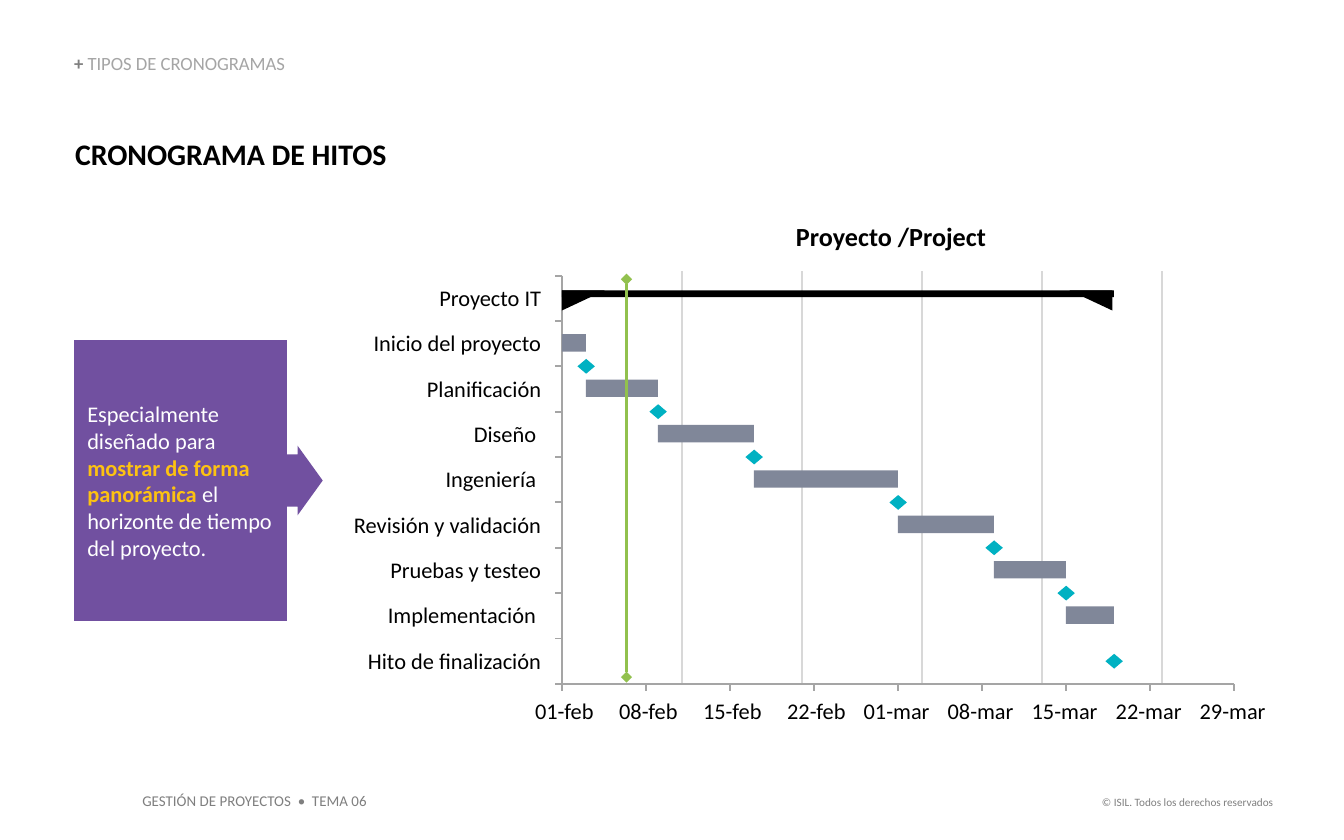
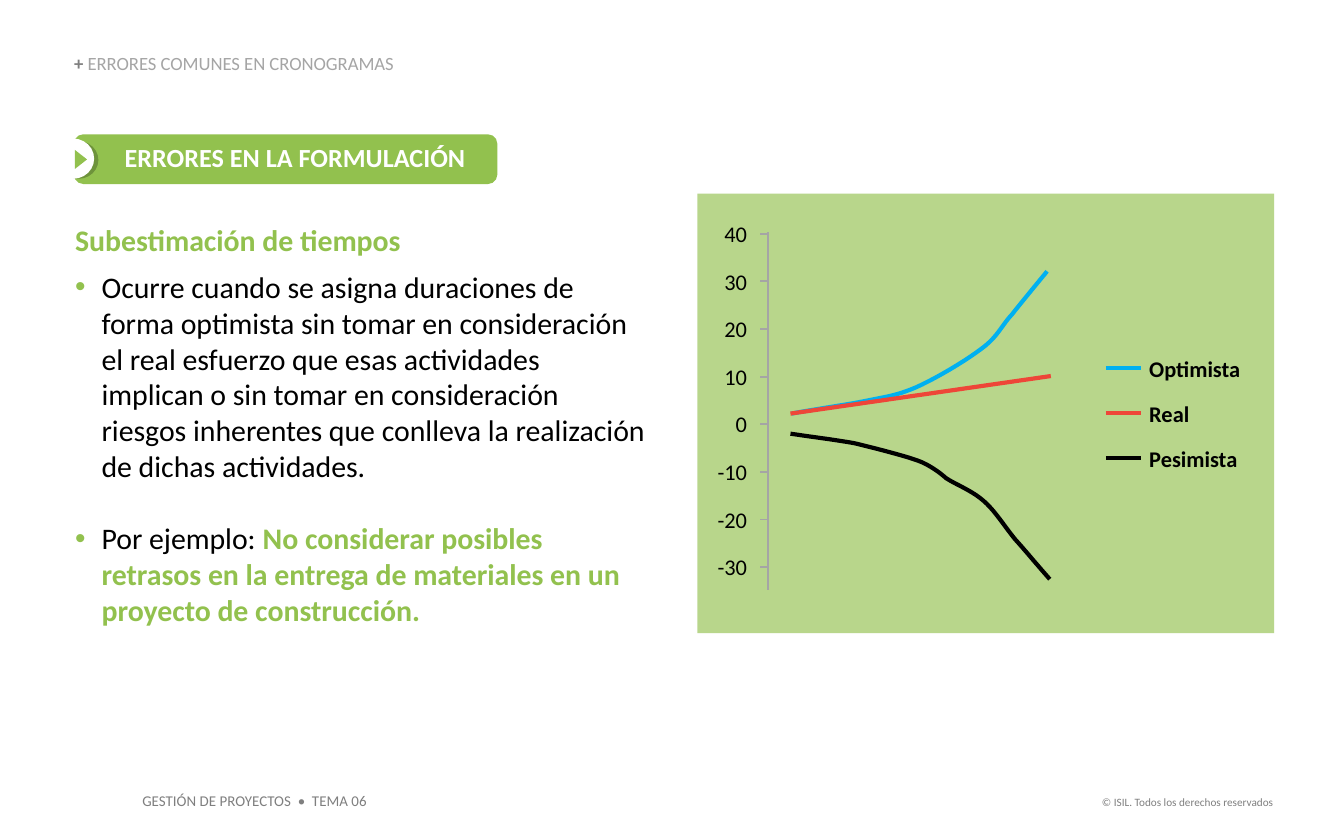
from lxml.etree import SubElement
from pptx import Presentation
from pptx.dml.color import RGBColor
from pptx.enum.shapes import MSO_CONNECTOR, MSO_SHAPE
from pptx.enum.text import MSO_ANCHOR, MSO_AUTO_SIZE, PP_ALIGN
from pptx.oxml.ns import qn
from pptx.util import Cm, Pt

FONT = "Calibri"
BLACK = "000000"
WHITE = "FFFFFF"
GREEN = "92C14E"
DARK_GREEN = "6E933B"
GREY = "7F7F7F"
AXIS_GREY = "A5A5A5"
GRID_GREY = "D8D8D8"
BAR_GREY = "808799"
TEAL = "00B1C2"
PURPLE = "7150A0"
YELLOW = "FDC212"
BLUE = "00B0F0"
RED = "EE4638"

TITLE_ONLY = 5
TITLE_AND_CONTENT = 1


def colour(value):
    return RGBColor.from_string(value)


def bezier_points(start, segments, steps=10):
    points = [start]
    for first, second, end in segments:
        begin = points[-1]
        for step in range(1, steps + 1):
            t = step / steps
            u = 1 - t
            points.append(tuple(
                u**3 * a + 3 * u * u * t * b + 3 * u * t * t * c + t**3 * d
                for a, b, c, d in zip(begin, first, second, end)))
    return points


class SlideBuilder:
    def __init__(self):
        self.presentation = Presentation()
        self.presentation.slide_width = Cm(25.4)
        self.presentation.slide_height = Cm(15.88)
        self.slide = None

    def start_slide(self, layout, heading, heading_width):
        layouts = self.presentation.slide_layouts
        self.slide = self.presentation.slides.add_slide(layouts[layout])
        self.text(20.09, 14.91, 4.22, 0.51, "© ISIL. Todos los derechos reservados", 6, GREY,
                  align=PP_ALIGN.RIGHT, margins=(0.25, 0.13, 0.25, 0.13))
        self.text(2.44, 14.83, 4.75, 0.61, "GESTIÓN DE PROYECTOS  •  TEMA 06", 8, GREY,
                  margins=(0.25, 0.13, 0.25, 0.13))
        title = self.slide.shapes.title
        self.place(title, 1.4, 1.04, heading_width, 0.38)
        self.frame(title, MSO_ANCHOR.BOTTOM)
        paragraph = title.text_frame.paragraphs[0]
        self.add_pieces(paragraph, [("+ ", GREY, True), (heading, AXIS_GREY, False)], 10)
        paragraph.line_spacing = 0.9

    def place(self, shape, left, top, width, height):
        shape.left, shape.top = Cm(left), Cm(top)
        shape.width, shape.height = Cm(width), Cm(height)

    def frame(self, shape, anchor, margins=(0, 0, 0, 0)):
        frame = shape.text_frame
        frame.word_wrap = True
        frame.auto_size = MSO_AUTO_SIZE.NONE
        frame.vertical_anchor = anchor
        (frame.margin_left, frame.margin_top,
         frame.margin_right, frame.margin_bottom) = map(Cm, margins)

    def add_pieces(self, paragraph, pieces, size, align=PP_ALIGN.LEFT):
        paragraph.alignment = align
        for text, tone, bold in pieces:
            run = paragraph.add_run()
            run.text = text
            run.font.name = FONT
            run.font.size = Pt(size)
            run.font.bold = bold
            run.font.color.rgb = colour(tone)

    def text(self, left, top, width, height, text, size, tone=BLACK, bold=False,
             align=PP_ALIGN.LEFT, anchor=MSO_ANCHOR.TOP, margins=(0, 0, 0, 0)):
        shape = self.slide.shapes.add_textbox(Cm(left), Cm(top), Cm(width), Cm(height))
        self.frame(shape, anchor, margins)
        self.add_pieces(shape.text_frame.paragraphs[0], [(text, tone, bold)], size, align)

    def shape(self, kind, left, top, width, height, fill, adjustments=(),
              rotation=0, flip=False, alpha=None):
        shape = self.slide.shapes.add_shape(kind, Cm(left), Cm(top), Cm(width), Cm(height))
        shape.shadow.inherit = False
        shape.fill.solid()
        shape.fill.fore_color.rgb = colour(fill)
        shape.line.fill.background()
        shape.rotation = rotation
        for index, value in enumerate(adjustments):
            shape.adjustments[index] = value
        properties = shape._element.spPr
        if flip:
            properties.find(qn("a:xfrm")).set("flipH", "1")
        if alpha:
            tone = properties.find(qn("a:solidFill")).find(qn("a:srgbClr"))
            SubElement(tone, qn("a:alpha")).set("val", str(alpha * 1000))
        return shape

    def line(self, x1, y1, x2, y2, tone, width=1, ends=None):
        connector = self.slide.shapes.add_connector(
            MSO_CONNECTOR.STRAIGHT, Cm(x1), Cm(y1), Cm(x2), Cm(y2))
        connector.line.color.rgb = colour(tone)
        connector.line.width = Pt(width)
        properties = connector._element.spPr
        if ends:
            for end in ("a:headEnd", "a:tailEnd"):
                SubElement(properties.find(qn("a:ln")), qn(end)).set("type", ends)
        SubElement(properties, qn("a:effectLst"))

    def curve(self, points, tone):
        start, *rest = [(Cm(x), Cm(y)) for x, y in points]
        builder = self.slide.shapes.build_freeform(*start)
        builder.add_line_segments(rest, close=False)
        shape = builder.convert_to_shape()
        shape.shadow.inherit = False
        shape.fill.background()
        shape.line.color.rgb = colour(tone)
        shape.line.width = Pt(2.25)

    def bullet(self, paragraph, tone):
        properties = paragraph._p.get_or_add_pPr()
        properties.set("marL", str(Cm(0.5)))
        properties.set("indent", str(Cm(-0.5)))
        bullet_colour = SubElement(properties, qn("a:buClr"))
        SubElement(bullet_colour, qn("a:srgbClr")).set("val", tone)
        SubElement(properties, qn("a:buFont")).set("typeface", "Arial")
        SubElement(properties, qn("a:buChar")).set("char", "•")

    def no_bullet(self, paragraph):
        properties = paragraph._p.get_or_add_pPr()
        properties.set("marL", "0")
        properties.set("indent", "0")
        SubElement(properties, qn("a:buNone"))


def draw_gantt(builder):
    axis_x, top, bottom = 10.62, 5.21, 12.93
    row = (bottom - top) / 9
    day = 12.7 / 56
    tasks = [("Inicio del proyecto", 2), ("Planificación", 6), ("Diseño ", 8),
             ("Ingeniería ", 12), ("Revisión y validación", 8),
             ("Pruebas y testeo", 6), ("Implementación ", 4)]
    labels = ["Proyecto IT", *(name for name, _ in tasks), "Hito de finalización"]
    dates = ["01-feb", "08-feb", "15-feb", "22-feb", "01-mar",
             "08-mar", "15-mar", "22-mar", "29-mar"]

    for step in range(1, 6):
        x = axis_x + step * 10 * day
        builder.line(x, 5.13, x, bottom, GRID_GREY)
    builder.text(13.46, 4.17, 6.76, 0.61, "Proyecto /Project", 14, bold=True,
                 align=PP_ALIGN.CENTER)
    for index, label in enumerate(labels):
        builder.text(6.5, top + index * row + 0.16, 3.73, 0.51, label, 12,
                     align=PP_ALIGN.RIGHT)

    builder.line(axis_x, bottom, axis_x + 56 * day, bottom, AXIS_GREY)
    builder.line(axis_x, top, axis_x, bottom + 0.13, AXIS_GREY)
    for index, date in enumerate(dates):
        x = axis_x + index * 7 * day
        builder.line(x, bottom, x, bottom + 0.13, AXIS_GREY)
        builder.text(x - 0.75, 13.18, 1.35, 0.51, date, 12, align=PP_ALIGN.RIGHT)
    for index in range(10):
        y = top + index * row
        builder.line(axis_x, y, axis_x - 0.13, y, AXIS_GREY)

    total = sum(days for _, days in tasks) * day
    builder.shape(MSO_SHAPE.RECTANGLE, axis_x, 5.49, total, 0.13, BLACK)
    for x, flip in ((axis_x, True), (axis_x + total - 0.84, False)):
        builder.shape(MSO_SHAPE.RIGHT_TRIANGLE, x, 5.49, 0.81, 0.38, BLACK,
                      rotation=180, flip=flip)

    x = axis_x
    for index, (_, days) in enumerate(tasks, start=1):
        y = top + index * row
        builder.shape(MSO_SHAPE.RECTANGLE, x, y + 0.25, days * day, 0.33, BAR_GREY)
        x += days * day
        milestone_y = y + row if index < len(tasks) else y + 1.5 * row
        builder.shape(MSO_SHAPE.FLOWCHART_SORT, x - 0.16, milestone_y - 0.14,
                      0.33, 0.28, TEAL)
    builder.line(11.84, 5.28, 11.84, 12.8, GREEN, 1.5, "diamond")


def draw_estimates(builder):
    axis_x, top, step = 14.51, 4.42, 0.9
    builder.shape(MSO_SHAPE.RECTANGLE, 13.18, 3.66, 10.9, 8.31, GREEN, alpha=65)
    builder.line(axis_x, 4.39, axis_x, 11.15, AXIS_GREY)
    for index, value in enumerate(range(40, -31, -10)):
        y = top + index * step
        builder.text(13.08, y - 0.27, 1.04, 0.53, str(value), 12,
                     align=PP_ALIGN.RIGHT, anchor=MSO_ANCHOR.MIDDLE)
        builder.line(axis_x, y, axis_x - 0.14, y, AXIS_GREY)

    optimistic = bezier_points((14.96, 7.82), [
        ((15.49, 7.72), (16.03, 7.65), (16.41, 7.57)),
        ((16.81, 7.49), (16.97, 7.47), (17.32, 7.32)),
        ((17.68, 7.16), (18.24, 6.83), (18.54, 6.6)),
        ((18.85, 6.38), (18.92, 6.17), (19.13, 5.94)),
        ((19.33, 5.69), (19.56, 5.41), (19.79, 5.13))])
    pessimistic = bezier_points((14.94, 8.2), [
        ((15.34, 8.26), (15.75, 8.31), (16.15, 8.38)),
        ((16.56, 8.48), (17.07, 8.61), (17.35, 8.71)),
        ((17.63, 8.81), (17.88, 9.04), (17.88, 9.04)),
        ((18.08, 9.17), (18.36, 9.27), (18.59, 9.47)),
        ((18.8, 9.65), (18.97, 9.93), (19.18, 10.19)),
        ((19.38, 10.41), (19.61, 10.69), (19.84, 10.95))])
    real = [(14.94, 7.82), (19.86, 7.11)]
    series = [("Optimista", BLUE, optimistic), ("Real", RED, real),
              ("Pesimista", BLACK, pessimistic)]
    for index, (name, tone, points) in enumerate(series):
        y = 6.96 + index * 0.85
        builder.curve(points, tone)
        builder.line(20.9, y, 21.56, y, tone, 2.25)
        builder.text(21.72, y - 0.25, 2.24, 0.51, name, 12, bold=True,
                     anchor=MSO_ANCHOR.MIDDLE)


def build_milestones(builder):
    builder.start_slide(TITLE_ONLY, "TIPOS DE CRONOGRAMAS", 6.76)
    builder.text(1.42, 2.57, 13.08, 0.69, "CRONOGRAMA DE HITOS", 16, bold=True)
    callout = builder.shape(MSO_SHAPE.RIGHT_ARROW_CALLOUT, 1.4, 6.43, 4.7, 5.31, PURPLE,
                            (0.211, 0.14, 0.101, 0.856))
    builder.frame(callout, MSO_ANCHOR.MIDDLE, (0.25, 0.13, 0.1, 0.13))
    builder.add_pieces(callout.text_frame.paragraphs[0], [
        ("Especialmente diseñado para ", WHITE, False),
        ("mostrar de forma panorámica ", YELLOW, True),
        ("el horizonte de tiempo del proyecto.", WHITE, False)], 12)
    draw_gantt(builder)


def build_errors(builder):
    builder.start_slide(TITLE_AND_CONTENT, "ERRORES COMUNES EN CRONOGRAMAS", 11.53)
    body = builder.slide.placeholders[1]
    builder.place(body, 1.42, 4.19, 10.8, 8.43)
    builder.frame(body, MSO_ANCHOR.TOP)
    items = [
        (0, [("Subestimación de tiempos", GREEN, True)]),
        (6, [("Ocurre cuando se asigna duraciones de forma optimista sin tomar en "
              "consideración el real esfuerzo que esas actividades implican o sin tomar "
              "en consideración riesgos inherentes que conlleva la realización de dichas "
              "actividades.", BLACK, False)]),
        (19.5, [("Por ejemplo: ", BLACK, False),
                ("No considerar posibles retrasos en la entrega de materiales en un "
                 "proyecto de construcción.", GREEN, True)])]
    for index, (space, pieces) in enumerate(items):
        if index:
            paragraph = body.text_frame.add_paragraph()
            builder.bullet(paragraph, GREEN)
        else:
            paragraph = body.text_frame.paragraphs[0]
            builder.no_bullet(paragraph)
        paragraph.space_before = Pt(space)
        builder.add_pieces(paragraph, pieces, 16)

    band = builder.shape(MSO_SHAPE.ROUNDED_RECTANGLE, 1.4, 2.54, 8, 0.94, GREEN, (0.188,))
    builder.frame(band, MSO_ANCHOR.MIDDLE, (0.61, 0.13, 0.25, 0.13))
    paragraph = band.text_frame.paragraphs[0]
    builder.add_pieces(paragraph, [("ERRORES EN LA FORMULACIÓN", WHITE, True)], 14,
                       PP_ALIGN.CENTER)
    paragraph.line_spacing = 0.9
    builder.shape(MSO_SHAPE.OVAL, 1.12, 2.67, 0.74, 0.71, DARK_GREEN)
    builder.shape(MSO_SHAPE.OVAL, 0.99, 2.62, 0.79, 0.76, WHITE)
    builder.shape(MSO_SHAPE.ISOSCELES_TRIANGLE, 1.35, 2.9, 0.36, 0.23, GREEN, rotation=90)
    draw_estimates(builder)


def main():
    builder = SlideBuilder()
    build_milestones(builder)
    build_errors(builder)
    builder.presentation.save("out.pptx")


if __name__ == "__main__":
    main()
